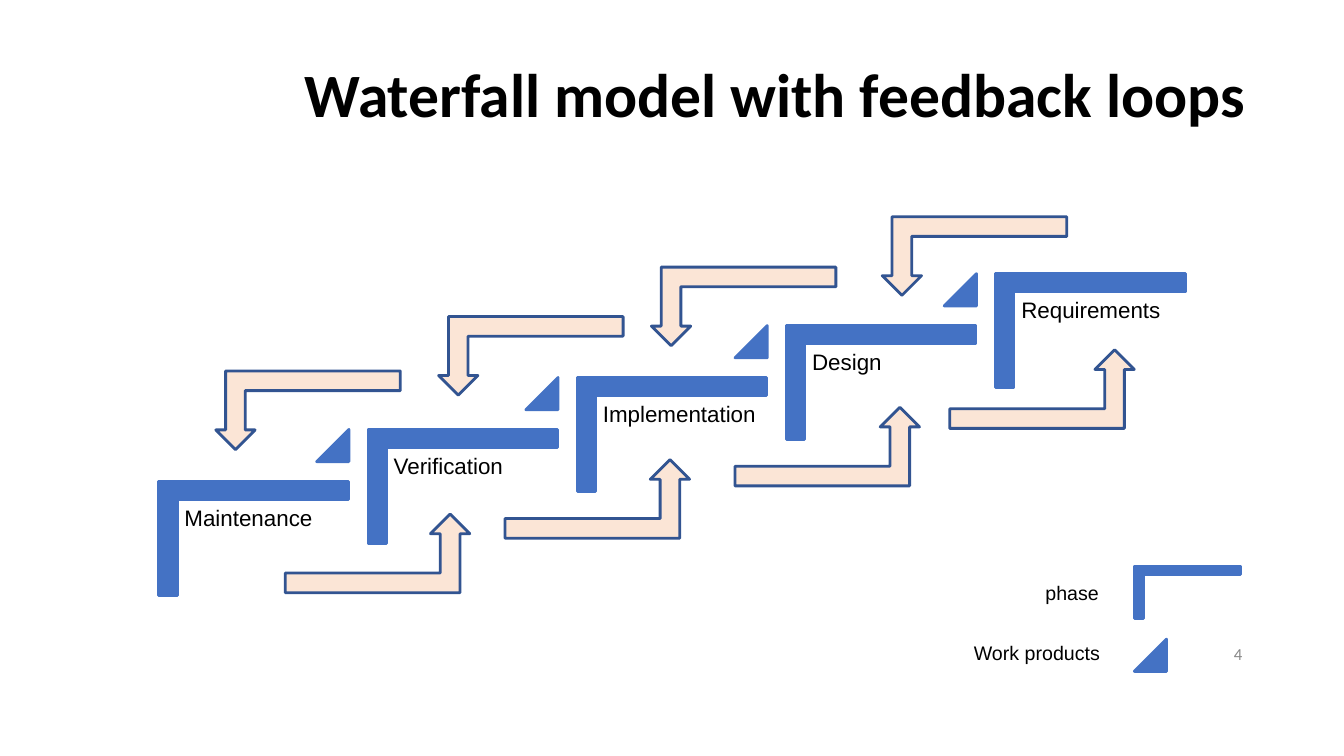
from pptx import Presentation
from pptx import util as u
from pptx.dml.color import RGBColor
from pptx.enum import shapes, text

BLUE = RGBColor(0x44, 0x72, 0xC4)
NAVY = RGBColor(0x32, 0x54, 0x91)
PEACH = RGBColor(0xFB, 0xE5, 0xD6)
BLACK = RGBColor(0, 0, 0)
GREY = RGBColor(0x88, 0x88, 0x88)
KIND = shapes.MSO_SHAPE
LEFT, RIGHT = text.PP_ALIGN.LEFT, text.PP_ALIGN.RIGHT
TOP, MIDDLE = text.MSO_ANCHOR.TOP, text.MSO_ANCHOR.MIDDLE


def assign(obj, values):
    for name, value in values.items():
        setattr(obj, name, value)


class Board:
    def __init__(self, deck):
        self.slide = deck.slides.add_slide(deck.slide_layouts[5])
        self.line = u.Pt(2)

    def letter(self, box, words, size, face="Arial", color=BLACK, bold=False,
               align=LEFT, anchor=TOP, wrap=True, pad=(0.1, 0.05), space=1.0):
        side, edge = (u.Inches(p) for p in pad)
        frame = box.text_frame
        frame.text = words
        assign(frame, {"word_wrap": wrap, "vertical_anchor": anchor,
                       "auto_size": text.MSO_AUTO_SIZE.NONE,
                       "margin_left": side, "margin_right": side,
                       "margin_top": edge, "margin_bottom": edge})
        para = frame.paragraphs[0]
        assign(para, {"alignment": align, "line_spacing": space})
        font = para.runs[0].font
        assign(font, {"name": face, "size": u.Pt(size), "bold": bold})
        font.color.rgb = color

    def title(self, words, x, y, w, h):
        box = self.slide.shapes.title
        assign(box, {"left": u.Inches(x), "top": u.Inches(y),
                     "width": u.Inches(w), "height": u.Inches(h)})
        self.letter(box, words, 44, "Calibri", bold=True, anchor=MIDDLE,
                    space=0.9)

    def label(self, words, x, y, w, h, size, **style):
        box = self.slide.shapes.add_textbox(*map(u.Inches, (x, y, w, h)))
        self.letter(box, words, size, **style)

    def shape(self, kind, x, y, w, h, fill=BLUE, edge=BLUE, turn=0, adjust=()):
        item = self.slide.shapes.add_shape(kind, *map(u.Inches, (x, y, w, h)))
        item.shadow.inherit = False
        item.rotation = turn
        for i, value in enumerate(adjust):
            item.adjustments[i] = value
        item.fill.solid()
        item.fill.fore_color.rgb = fill
        item.line.color.rgb = edge
        item.line.width = self.line

    def phase(self, x, y, w, h):
        self.shape(KIND.CORNER, x, y, w, h, turn=90, adjust=(0.161, 0.161))

    def product(self, x, y):
        self.shape(KIND.ISOSCELES_TRIANGLE, x, y, 0.32, 0.32, adjust=(1,))

    def arrow(self, x, y, turn):
        self.shape(KIND.BENT_UP_ARROW, x, y, 1.83, 0.78, PEACH, NAVY, turn)


def main():
    deck = Presentation()
    assign(deck, {"slide_width": u.Inches(13.33),
                  "slide_height": u.Inches(7.5)})
    board = Board(deck)
    board.title("Waterfall model with feedback loops", 2.92, 0.24, 10.33, 1.45)
    board.label("4", 9.42, 6.29, 3, 0.4, 12, face="Calibri", color=GREY,
                align=RIGHT, anchor=MIDDLE)

    # Staircase of phases, with a work product between neighbours
    steps = ["Maintenance", "Verification", "Implementation", "Design",
             "Requirements"]
    across, rise = 8.3 / 4, 2.06 / 4
    for i, name in enumerate(steps):
        x, y = 1.95 + across * i, 4.4 - rise * i
        board.phase(x, y, 1.13, 1.88)
        board.label(name, x - 0.19, y + 0.56, 1.7, 1.49, 16,
                    pad=(0.07, 0.07), space=0.9)
        if i < len(steps) - 1:
            board.product(x + 1.19, y - 0.14)

    # Arrows down to the next phase, and feedback arrows back up
    down = [(8.75, 2.15), (6.46, 2.65), (4.35, 3.14), (2.14, 3.68)]
    back = [(2.83, 5.1), (5.01, 4.56), (7.29, 4.04), (9.42, 3.47)]
    for turn, spots in ((180, down), (0, back)):
        for x, y in spots:
            board.arrow(x, y, turn)

    # Legend
    board.phase(11.52, 5.35, 0.52, 1.05)
    board.product(11.25, 6.34)
    board.label("phase", 10.27, 5.71, 0.73, 0.34, 14, wrap=False)
    board.label("Work products", 9.56, 6.31, 1.46, 0.34, 14, wrap=False)

    deck.save("out.pptx")


if __name__ == "__main__":
    main()
